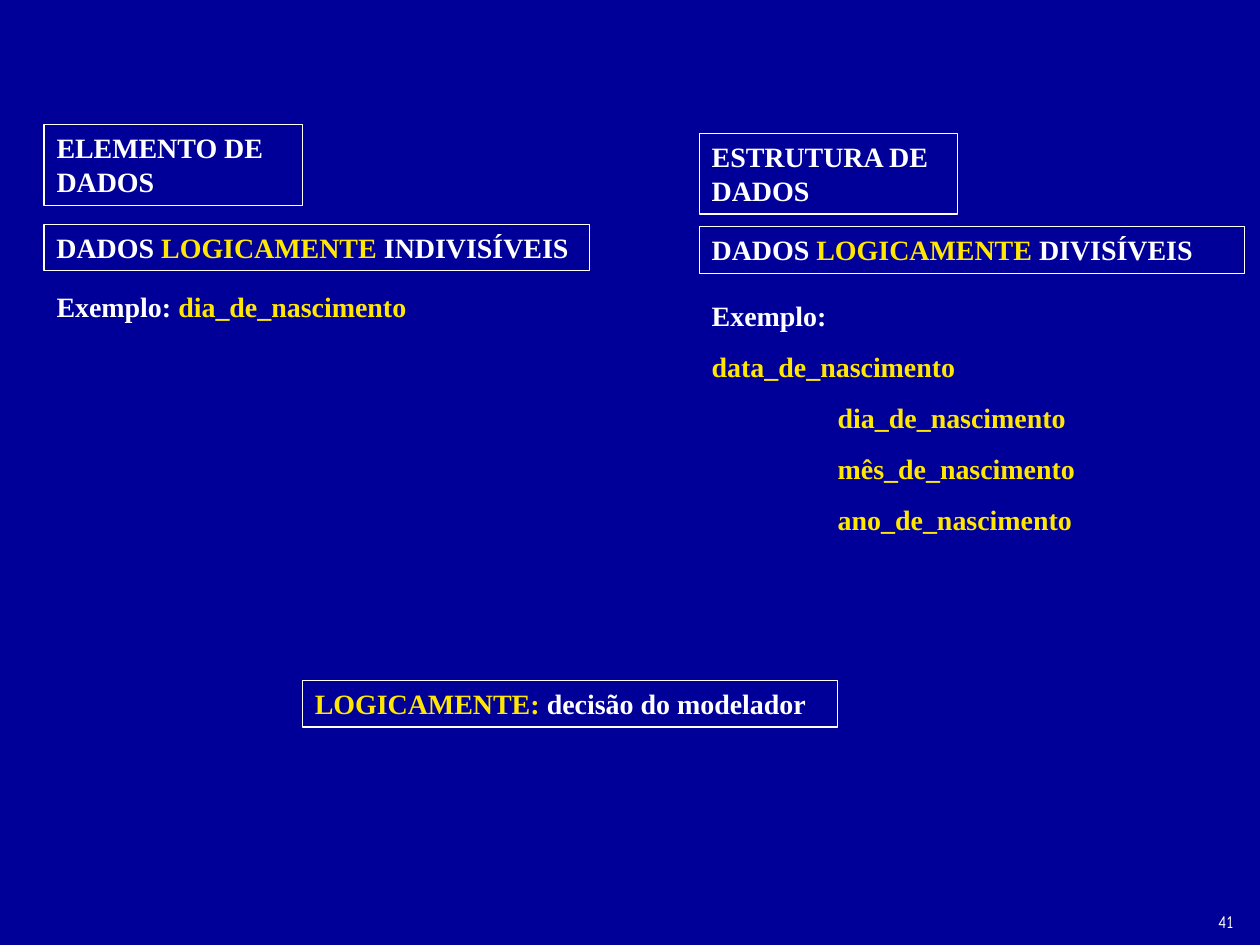
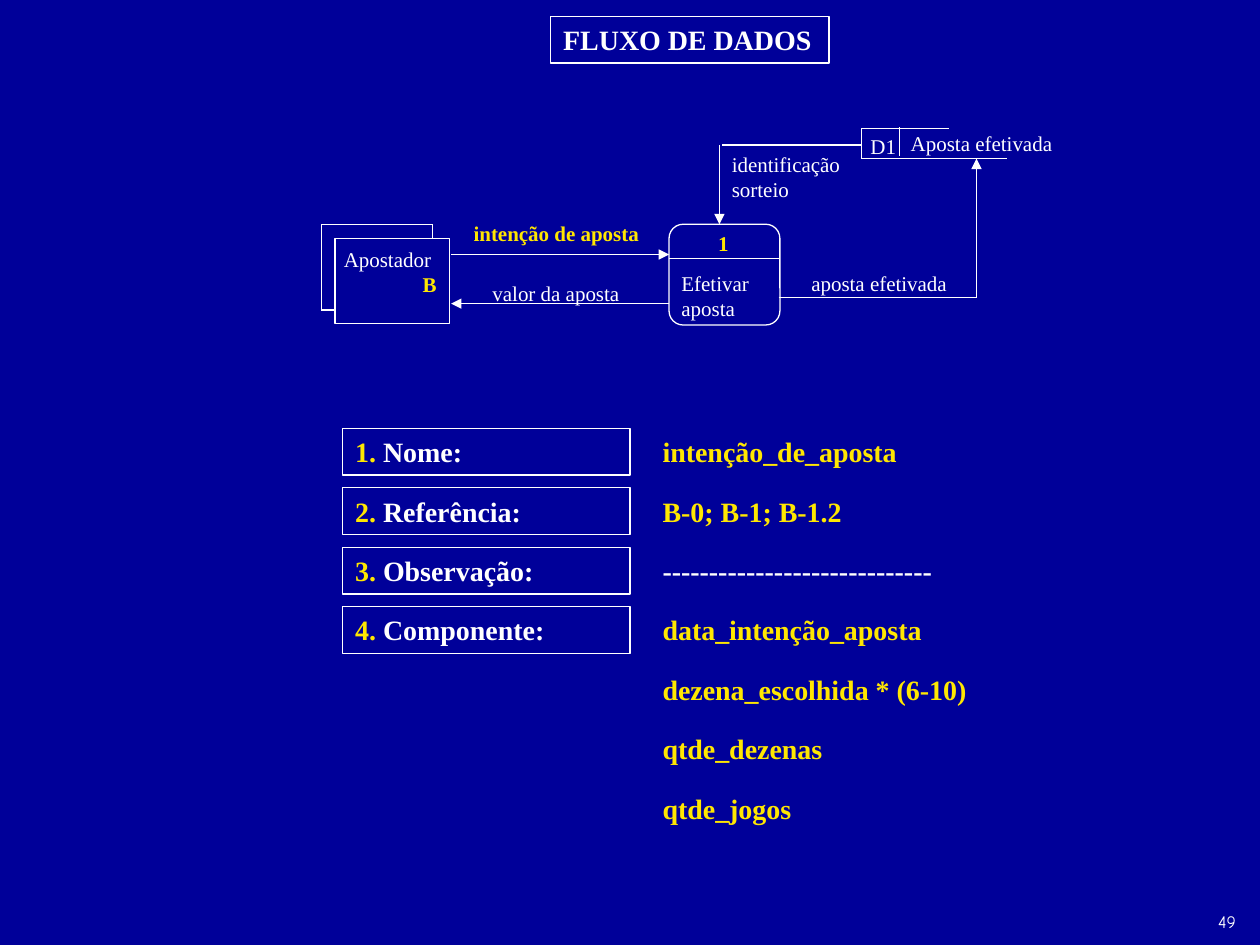
from lxml.etree import SubElement
from pptx import Presentation
from pptx.dml.color import RGBColor
from pptx.enum.shapes import MSO_CONNECTOR as LINK, MSO_SHAPE as SHAPE
from pptx.enum.text import MSO_ANCHOR as ANCHOR, MSO_AUTO_SIZE as AUTO, PP_ALIGN as ALIGN
from pptx.oxml.ns import qn
from pptx.util import Inches, Pt

NAVY, WHITE, YELLOW = "000099", "FFFFFF", "FFE701"
SERIF, PAGE_FONT = "Times New Roman", "Comic Neue"
color = RGBColor.from_string

prs = Presentation()
prs.slide_width, prs.slide_height = Inches(10), Inches(7.5)
prs.slide_master.background.fill.solid()
prs.slide_master.background.fill.fore_color.rgb = color(NAVY)
COL, ROW = prs.slide_width / 100, prs.slide_height / 75


def outline(slide, preset, left, top, width, height):
    frame = slide.shapes.add_shape(preset, int(left * COL), int(top * ROW), int(width * COL), int(height * ROW))
    frame.shadow.inherit = False
    frame.fill.background()
    frame.line.color.rgb = color(WHITE)
    frame.line.width = Pt(0.75)
    return frame


def write(slide, area, lines, size=16, bold=True, font=SERIF, framed=False, indents=()):
    left, top, width, height = area
    if framed:
        label = outline(slide, SHAPE.RECTANGLE, *area)
    else:
        label = slide.shapes.add_textbox(int(left * COL), int(top * ROW), int(width * COL), int(height * ROW))
    frame = label.text_frame
    frame.word_wrap = True
    frame.vertical_anchor = ANCHOR.TOP
    for number, parts in enumerate(lines):
        paragraph = frame.add_paragraph() if number else frame.paragraphs[0]
        paragraph.alignment = ALIGN.LEFT
        if number and size == 16:
            paragraph.space_before = Pt(10)
        if number < len(indents):
            paragraph._p.get_or_add_pPr().set("marL", str(int(indents[number] * COL)))
        for words, tint in parts:
            run = paragraph.add_run()
            run.text = words
            run.font.size, run.font.bold, run.font.name = Pt(size), bold, font
            run.font.color.rgb = color(tint)


concepts = prs.slides.add_slide(prs.slide_layouts[6])
flow = prs.slides.add_slide(prs.slide_layouts[5])

for slide, page in ((concepts, "41"), (flow, "49")):
    write(slide, (95.7, 71.8, 3.9, 2.7), [[(page, WHITE)]], size=10, bold=False, font=PAGE_FONT)

for left, name_top, name, rule_top, ending in (
    (3.5, 9.9, "ELEMENTO DE DADOS", 17.8, "INDIVISÍVEIS"),
    (55.5, 10.6, "ESTRUTURA DE DADOS", 18, "DIVISÍVEIS"),
):
    write(concepts, (left, name_top, 20.5, 6.4), [[(name, WHITE)]], framed=True)
    write(concepts, (left, rule_top, 43.3, 3.7),
          [[("DADOS ", WHITE), ("LOGICAMENTE ", YELLOW), (ending, WHITE)]], framed=True)

write(concepts, (3.5, 22.5, 31.5, 3.7), [[("Exemplo: ", WHITE), ("dia_de_nascimento", YELLOW)]])
structure = ["data_de_nascimento", "dia_de_nascimento", "mês_de_nascimento", "ano_de_nascimento"]
write(concepts, (55.5, 23.2, 31.5, 19.9),
      [[("Exemplo:", WHITE)]] + [[(field, YELLOW)] for field in structure], indents=(0, 0, 10, 10, 10))
write(concepts, (24, 54, 42.5, 3.7),
      [[("LOGICAMENTE: ", YELLOW), ("decisão do modelador", WHITE)]], framed=True)

heading = flow.shapes.title
heading.left, heading.top = int(43.7 * COL), int(1.3 * ROW)
heading.width, heading.height = int(22.1 * COL), int(3.7 * ROW)
heading.line.color.rgb = color(WHITE)
heading.line.width = Pt(0.75)
heading.text_frame.text = "FLUXO DE DADOS"
heading.text_frame.word_wrap = True
heading.text_frame.auto_size = AUTO.NONE
heading.text_frame.vertical_anchor = ANCHOR.TOP
heading_line = heading.text_frame.paragraphs[0]
heading_line.alignment = ALIGN.LEFT
heading_font = heading_line.runs[0].font
heading_font.name, heading_font.size, heading_font.bold = SERIF, Pt(16), True
heading_font.color.rgb = color(WHITE)

ENTRY_TOP, ENTRY_STEP = 34, 4.72
for row, entry in enumerate(("Nome:", "Referência:", "Observação:", "Componente:")):
    write(flow, (27.2, ENTRY_TOP + row * ENTRY_STEP, 22.8, 3.7),
          [[(f"{row + 1}.", YELLOW), (f" {entry}", WHITE)]], framed=True)

values = ["intenção_de_aposta", "B-0; B-1; B-1.2", "-" * 29, "data_intenção_aposta",
          "dezena_escolhida * (6-10)", "qtde_dezenas", "qtde_jogos"]
for row, value in enumerate(values):
    tint = WHITE if value.startswith("-") else YELLOW
    write(flow, (51.6, ENTRY_TOP + row * ENTRY_STEP, 26.8, 3.7), [[(value, tint)]])

outline(flow, SHAPE.RECTANGLE, 26.6, 18.9, 9.1, 6.8)
process = outline(flow, SHAPE.ROUNDED_RECTANGLE, 53.1, 17.8, 8.8, 8)
process.adjustments[0] = 0.14

write(flow, (26.3, 19.1, 10.2, 5), [[("Apostador", WHITE)]], size=12, bold=False)
write(flow, (26.3, 21.1, 10.2, 3), [[("B", YELLOW)]], size=12, indents=(6.25,))
for area, words, tint in (
    ((63.4, 21, 14.2, 3), "aposta efetivada", WHITE),
    ((71.3, 9.9, 15.7, 3), "Aposta efetivada", WHITE),
    ((68.1, 10.1, 4.9, 3), "D1", WHITE),
    ((53.1, 21, 9, 5), "Efetivar aposta", WHITE),
    ((56, 17.8, 4.2, 3), "1", YELLOW),
    ((38.1, 21.8, 16.5, 3), "valor da aposta", WHITE),
    ((57.1, 11.5, 12.6, 5), "identificação sorteio", WHITE),
    ((36.6, 17, 16.5, 3), "intenção de aposta", YELLOW),
):
    write(flow, area, [[(words, tint)]], size=12, bold=tint == YELLOW)

bettor_shadow = [(34.3, 17.8, 25.5, 17.8), (25.5, 17.8, 25.5, 24.6),
                 (25.5, 24.6, 26.6, 24.6), (34.3, 17.8, 34.3, 18.9)]
store_edges = [(68.4, 12.6, 79.9, 12.6), (68.4, 12.6, 68.4, 10.2),
               (68.4, 10.2, 75.3, 10.2), (71.4, 10.1, 71.4, 12.4)]
process_divider = [(53.1, 20.5, 61.9, 20.5)]
flow_bends = [(68.3, 11.5, 57.3, 11.5), (61.8, 23.6, 77.5, 23.6)]
flow_arrows = [(57.1, 11.5, 57.1, 17.8), (77.5, 23.6, 77.5, 12.6),
               (35.8, 20.2, 53.1, 20.2), (53.1, 24.1, 35.8, 24.1)]

plain_lines = bettor_shadow + store_edges + process_divider + flow_bends
for number, (x1, y1, x2, y2) in enumerate(plain_lines + flow_arrows):
    stroke = flow.shapes.add_connector(
        LINK.STRAIGHT, int(x1 * COL), int(y1 * ROW), int(x2 * COL), int(y2 * ROW))
    stroke.line.color.rgb = color(WHITE)
    stroke.line.width = Pt(0.75)
    if number >= len(plain_lines):
        SubElement(stroke.line._get_or_add_ln(), qn("a:tailEnd"), type="triangle")
    SubElement(stroke._element.spPr, qn("a:effectLst"))

prs.save("out.pptx")
